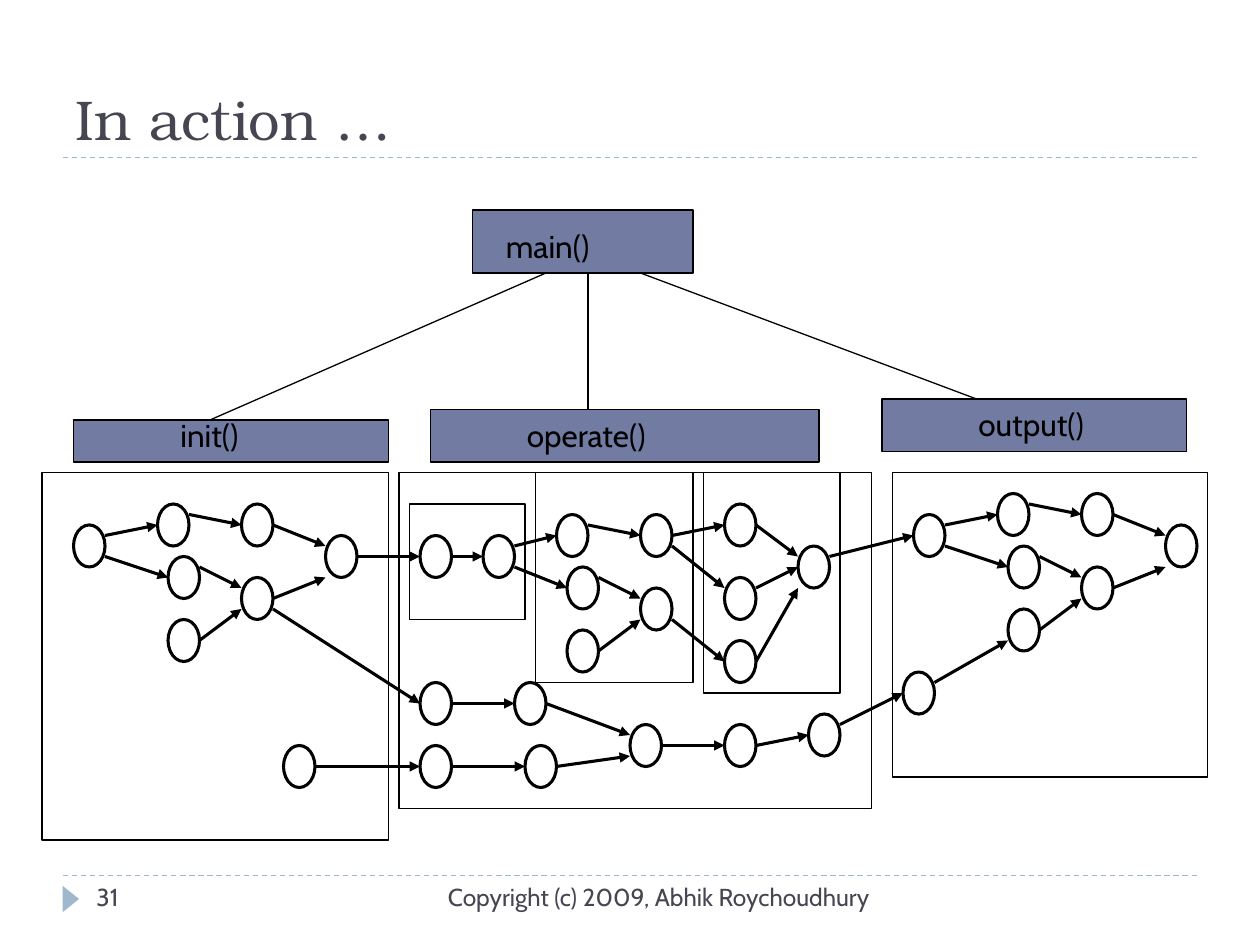
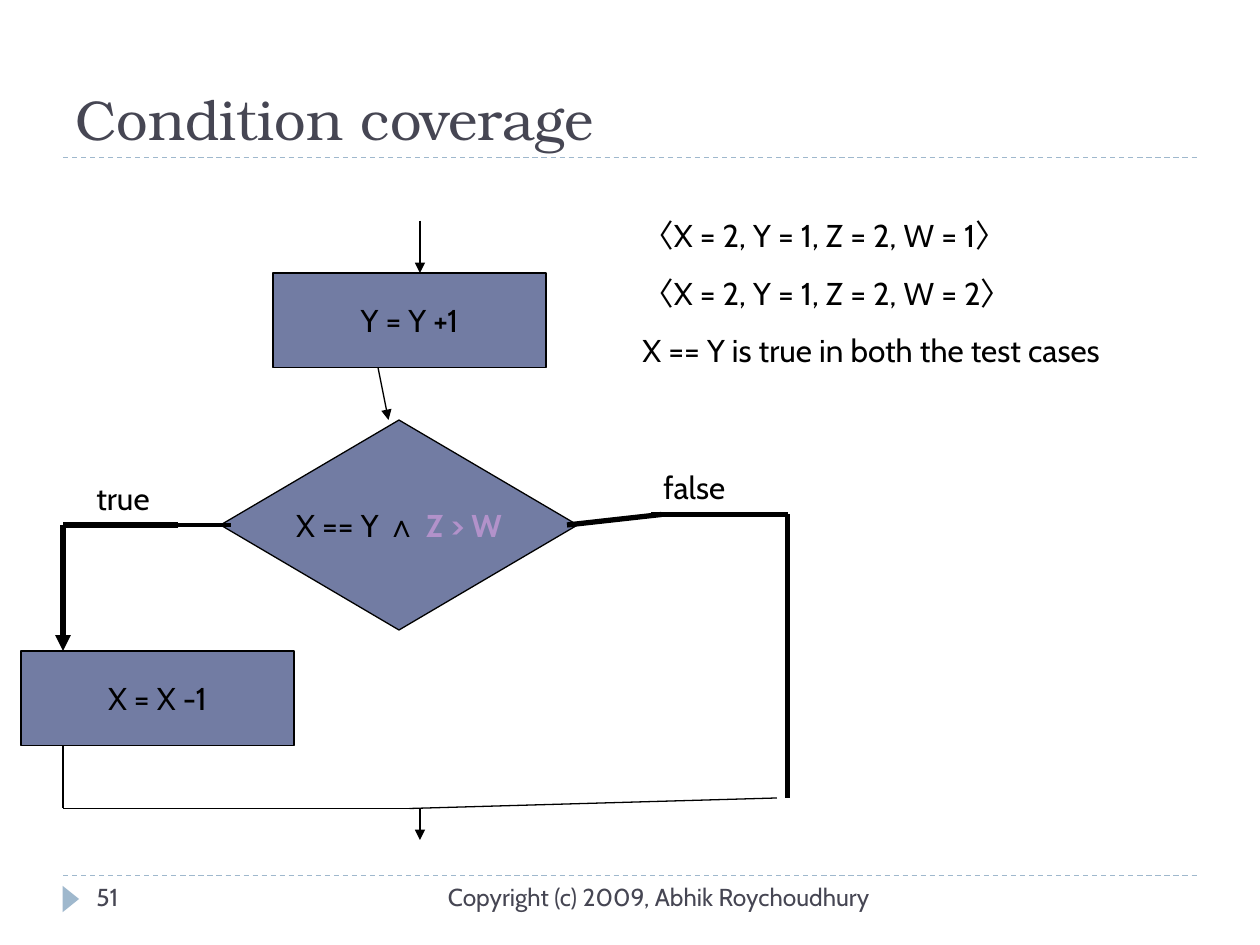
import dataclasses

import lxml.etree
import pptx
import pptx.dml.color
import pptx.enum.dml
import pptx.enum.shapes
import pptx.enum.text
import pptx.oxml
import pptx.oxml.ns
import pptx.util

UNIT = 2.54 / 12  # both slides sit on a grid of 12 steps to the inch
SYMBOLS = "〈〉∧"
PRESET = pptx.enum.shapes.MSO_SHAPE
ALIGN = pptx.enum.text.PP_ALIGN
ANCHOR = pptx.enum.text.MSO_ANCHOR


@dataclasses.dataclass(frozen=True)
class Theme:
    ink: str = "000000"
    heading: str = "464653"
    block: str = "727CA3"
    rule: str = "9FB8CD"
    highlight: str = "B292CA"
    title_font: str = "TeX Gyre Bonum"
    body_font: str = "Cabin"
    symbol_font: str = "Arial"
    title_size: float = 32
    body_size: float = 18
    footer_size: float = 14
    paragraph_gap: float = 11.2
    thin: float = 0.75
    edge: float = 1.75
    branch: float = 2.25
    thick: float = 3


theme = Theme()


def draw_line(slide, ends, width=theme.thin, arrow=False, color=theme.ink):
    """Draw a straight line between two grid points given as x1, y1, x2, y2."""
    line = slide.shapes.add_connector(
        pptx.enum.shapes.MSO_CONNECTOR.STRAIGHT,
        *[pptx.util.Cm(value * UNIT) for value in ends])
    line.line.width = pptx.util.Pt(width)
    line.line.color.rgb = pptx.dml.color.RGBColor.from_string(color)
    properties = line._element.spPr
    if arrow:
        tail = lxml.etree.SubElement(line.line._get_or_add_ln(),
                                     pptx.oxml.ns.qn("a:tailEnd"))
        tail.set("type", "triangle")
    lxml.etree.SubElement(properties, pptx.oxml.ns.qn("a:effectLst"))
    return line


def draw_box(slide, area, preset=None, fill=None, line_width=None,
             paragraphs=(), font=theme.body_font, size=theme.body_size,
             color=theme.ink, align=ALIGN.LEFT, anchor=ANCHOR.TOP, wrap=True):
    """Draw a shape, or a text box without preset; paragraphs hold lists of runs."""
    place = [pptx.util.Cm(value * UNIT) for value in area]
    if preset is None:
        box = slide.shapes.add_textbox(*place)
    else:
        box = slide.shapes.add_shape(preset, *place)
        box.shadow.inherit = False
        if fill:
            box.fill.solid()
            box.fill.fore_color.rgb = pptx.dml.color.RGBColor.from_string(fill)
        else:
            box.fill.background()
        if line_width:
            box.line.width = pptx.util.Pt(line_width)
            box.line.color.rgb = pptx.dml.color.RGBColor.from_string(theme.ink)
        else:
            box.line.fill.background()
    frame = box.text_frame
    frame.word_wrap = wrap
    frame.vertical_anchor = anchor
    for index, runs in enumerate(paragraphs):
        paragraph = frame.add_paragraph() if index else frame.paragraphs[0]
        paragraph.alignment = align
        if index:
            paragraph.space_before = pptx.util.Pt(theme.paragraph_gap)
        for text in runs:
            run = paragraph.add_run()
            run.text = text
            run.font.name = theme.symbol_font if text.strip() in SYMBOLS else font
            run.font.size = pptx.util.Pt(size)
            run.font.color.rgb = pptx.dml.color.RGBColor.from_string(color)
    return box


deck = pptx.Presentation()
deck.slide_width = pptx.util.Cm(25.4)
deck.slide_height = pptx.util.Cm(19.05)

# Shared frame: rules, marker, title, footer and slide number
slides = []
for title, number in (("In action …", "31"), ("Condition coverage", "51")):
    slide = deck.slides.add_slide(deck.slide_layouts[6])
    slides.append(slide)
    for y in (83.4, 15):
        rule = draw_line(slide, (6, y, 114, y), color=theme.rule)
        rule.line.dash_style = pptx.enum.dml.MSO_LINE.DASH
    marker = draw_box(slide, (5.5, 84.84, 2.5, 1.56),
                      PRESET.ISOSCELES_TRIANGLE, theme.rule)
    marker.rotation = 90
    draw_box(slide, (6, 2, 108, 13), paragraphs=[[title]], font=theme.title_font,
             size=theme.title_size, color=theme.heading, anchor=ANCHOR.BOTTOM)
    for area, text, align in (
            ((38, 83.4, 46, 4.8), "Copyright (c) 2009, Abhik Roychoudhury", ALIGN.RIGHT),
            ((8, 83.4, 26, 4.8), number, ALIGN.LEFT)):
        draw_box(slide, area, paragraphs=[[text]], size=theme.footer_size,
                 color=theme.heading, align=align)
action, coverage = slides

# Call tree: each function block with its label
for block, label, name in (
        ((45, 20, 21, 6), (47, 21, 17, 4.8), "main()"),
        ((7, 40, 30, 4), (16, 39, 18, 4.8), "init()"),
        ((41, 39, 37, 5), (49, 39, 17, 4.8), "operate()"),
        ((84, 38, 29, 5), (92, 38, 14, 4.8), "output()")):
    draw_box(action, block, PRESET.RECTANGLE, theme.block, theme.thin)
    draw_box(action, label, paragraphs=[[name]])
for call in ((52, 26, 20, 40), (56, 26, 56, 39), (61, 26, 93, 38)):
    draw_line(action, call)

# Dependence graph: the motif that recurs in all three functions
core_nodes = [(0, 0), (8, 0), (1, 5), (1, 11), (8, 7)]
core_edges = [(3, 1, 8, 2), (4, 6, 8, 8), (4, 13, 8, 10)]
# Entry and exit of the motif, in init() and output() only
outer_nodes = [(-8, 2), (16, 3)]
outer_edges = [(-5, 3, 0, 2), (-5, 5, 1, 7), (11, 2, 16, 4), (11, 9, 16, 7)]

# Nodes and edges outside the motif
nodes = [(40, 51), (46, 51), (69, 48), (69, 55), (69, 61), (76, 52),
         (40, 65), (49, 65), (27, 71), (40, 71), (50, 71),
         (60, 69), (69, 69), (77, 68), (86, 64)]
edges = [(34, 53, 40, 53), (43, 53, 46, 53), (49, 52, 53, 51), (49, 54, 54, 56),
         (64, 51, 69, 50), (64, 52, 69, 56), (64, 59, 69, 63),
         (72, 50, 76, 53), (72, 56, 76, 54), (72, 63, 76, 56), (79, 53, 87, 51),
         (26, 58, 40, 67), (43, 67, 49, 67), (52, 67, 60, 70),
         (30, 73, 40, 73), (43, 73, 50, 73), (53, 73, 60, 72),
         (63, 71, 69, 71), (72, 71, 77, 70), (80, 69, 86, 66), (89, 65, 96, 61)]
for x, y, has_outer in ((15, 48, True), (53, 49, False), (95, 47, True)):
    motif_nodes = core_nodes + (outer_nodes if has_outer else [])
    motif_edges = core_edges + (outer_edges if has_outer else [])
    nodes += [(x + dx, y + dy) for dx, dy in motif_nodes]
    edges += [(x + x1, y + y1, x + x2, y + y2) for x1, y1, x2, y2 in motif_edges]
for left, top in nodes:
    draw_box(action, (left, top, 3, 4), PRESET.OVAL, line_width=theme.edge)
for edge in edges:
    draw_line(action, edge, theme.edge, arrow=True)

# Frames: three slices inside operate(), then the three functions
for frame_area in ((39, 48, 11, 11), (51, 45, 15, 20), (67, 45, 13, 21),
                   (4, 45, 33, 35), (38, 45, 45, 32), (85, 45, 30, 29)):
    draw_box(action, frame_area, PRESET.RECTANGLE, line_width=theme.thin)

# Flowchart: statements and decision
for area, preset, runs in (
        ((26, 26, 26, 9), PRESET.RECTANGLE, ["Y = Y +1"]),
        ((2, 62, 26, 9), PRESET.RECTANGLE, ["X = X -1"]),
        ((21, 40, 34, 20), PRESET.FLOWCHART_DECISION, ["X == Y ", "∧ ", "Z > W"])):
    step = draw_box(coverage, area, preset, theme.block, theme.thin, [runs],
                    align=ALIGN.CENTER, anchor=ANCHOR.MIDDLE, wrap=False)
second_condition = step.text_frame.paragraphs[0].runs[-1]
second_condition.font.bold = True
second_condition.font.color.rgb = pptx.dml.color.RGBColor.from_string(theme.highlight)

# Flowchart: control flow
for ends, width, arrow in (
        ((40, 21, 40, 26), theme.thin, True),
        ((36, 35, 37, 40), theme.thin, True),
        ((17, 50, 22, 50), theme.branch, False),
        ((17, 50, 6, 50), theme.thick, False),
        ((6, 50, 6, 62), theme.thick, True),
        ((54, 50, 63, 49), theme.thick, False),
        ((62, 49, 75, 49), theme.thick, False),
        ((75, 49, 75, 76), theme.thick, False),
        ((6, 71, 6, 77), theme.thin, False),
        ((6, 77, 40, 77), theme.thin, False),
        ((74, 76, 39, 77), theme.thin, False),
        ((40, 77, 40, 80), theme.thin, True)):
    draw_line(coverage, ends, width, arrow)

# Branch labels and test cases
draw_box(coverage, (8, 45, 11, 4.8), paragraphs=[["true"]])
draw_box(coverage, (62, 44, 15, 4.8), paragraphs=[["false"]])
test_cases = [["〈", f"X = 2, Y = 1, Z = 2, W = {w}", "〉"] for w in (1, 2)]
draw_box(coverage, (60, 20, 50, 24.8),
         paragraphs=test_cases + [["X == Y is true in both the test cases"]])

deck.save("out.pptx")
